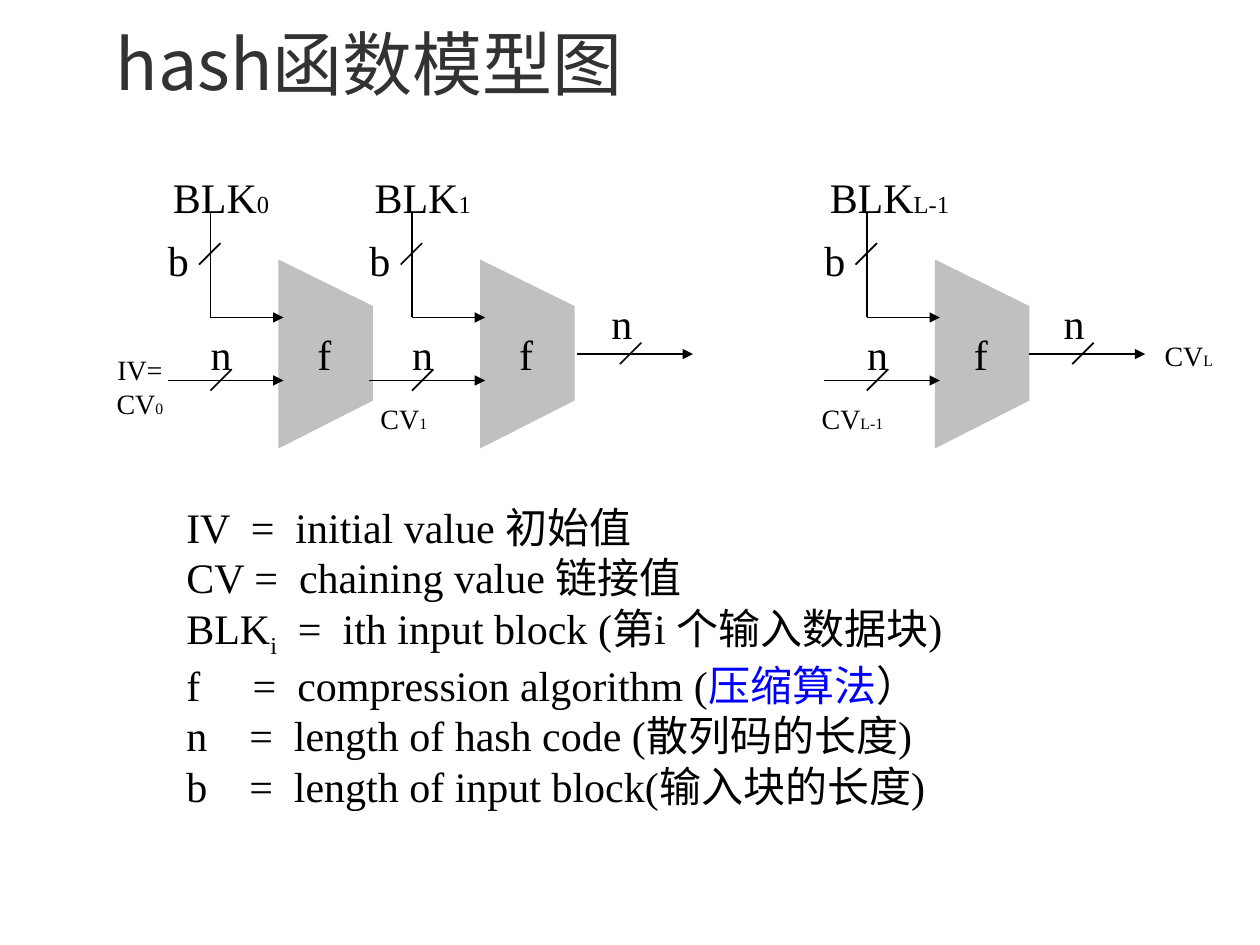
from dataclasses import dataclass

from lxml import etree
from pptx import Presentation
from pptx.dml.color import RGBColor
from pptx.enum.shapes import MSO_CONNECTOR
from pptx.enum.text import MSO_ANCHOR, PP_ALIGN
from pptx.oxml.ns import qn
from pptx.util import Inches, Pt

STRAIGHT = MSO_CONNECTOR.STRAIGHT
LEFT, CENTER, JUSTIFY = PP_ALIGN.LEFT, PP_ALIGN.CENTER, PP_ALIGN.JUSTIFY
TOP, BOTTOM = MSO_ANCHOR.TOP, MSO_ANCHOR.BOTTOM
COLORS = {"ink": "000000", "title": "323232", "function": "C0C0C0", "accent": "0000FF"}
SERIF, SANS = "Times New Roman", "Noto Sans CJK SC"


@dataclass(frozen=True)
class Span:
    text: str
    size: float | None = None
    color: str | None = None
    subscript: bool = False


@dataclass(frozen=True)
class Stage:
    """One compression step; left is the wide edge of its trapezoid."""
    left: float
    block: str
    block_width: float


@dataclass(frozen=True)
class ChainValue:
    left: float
    top: float
    width: float
    index: str


STAGES = [Stage(2.21, "0", 0.97), Stage(3.81, "1", 0.97), Stage(7.42, "L-1", 1.16)]
CHAIN_VALUES = [
    ChainValue(2.92, 3.14, 0.57, "1"),
    ChainValue(6.42, 3.14, 0.69, "L-1"),
    ChainValue(9.14, 2.64, 0.59, "L"),
]
OUTPUT_STARTS = [4.58, 8.17]
DEFINITIONS = [
    [Span("IV  =  initial value 初始值")],
    [Span("CV =  chaining value 链接值")],
    [Span("BLK"), Span("i", subscript=True), Span("  =  ith input block (第i 个输入数据块)")],
    [Span("f     =  compression algorithm ("), Span("压缩算法", color="accent"), Span("）")],
    [Span("n    =  length of hash code (散列码的长度)")],
    [Span("b    =  length of input block(输入块的长度)")],
]


def rgb(name: str) -> RGBColor:
    return RGBColor.from_string(COLORS[name])


def add_text(slide, paragraphs: list[list[Span]], left: float, top: float,
             width: float, height: float, *, size: float = 24, font: str = SERIF,
             color: str = "ink", align=CENTER, anchor=TOP, wrap: bool = False,
             inset: bool = True, line_spacing: float | None = None) -> None:
    box = slide.shapes.add_textbox(Inches(left), Inches(top), Inches(width), Inches(height))
    frame = box.text_frame
    frame.word_wrap = wrap
    frame.vertical_anchor = anchor
    if not inset:
        frame.margin_left = frame.margin_right = frame.margin_top = frame.margin_bottom = 0
    for index, spans in enumerate(paragraphs):
        paragraph = frame.add_paragraph() if index else frame.paragraphs[0]
        paragraph.alignment = align
        if line_spacing:
            paragraph.line_spacing = Pt(line_spacing)
        for span in spans:
            run = paragraph.add_run()
            run.text = span.text
            run.font.size = Pt(span.size or size)
            run.font.name = font
            run.font.color.rgb = rgb(span.color or color)
            properties = run._r.get_or_add_rPr()
            etree.SubElement(properties, qn("a:ea"), typeface=SANS)
            if span.subscript:
                properties.set("baseline", "-25000")


def add_line(slide, start: tuple[float, float], end: tuple[float, float],
             arrow: bool = False) -> None:
    line = slide.shapes.add_connector(STRAIGHT, *map(Inches, start + end))
    line.line.color.rgb = rgb("ink")
    line.line.width = Pt(1)
    if arrow:
        etree.SubElement(line.line._get_or_add_ln(), qn("a:tailEnd"), type="triangle")
    etree.SubElement(line._element.spPr, qn("a:effectLst"))


def add_slash(slide, left: float, bottom: float) -> None:
    """Draw the short stroke that marks a line's bit width."""
    add_line(slide, (left, bottom), (left + 0.17, bottom - 0.17))


def add_function(slide, left: float) -> None:
    right = left + 0.75
    builder = slide.shapes.build_freeform(Inches(left), Inches(3.56), scale=1.0)
    corners = [(right, 3.18), (right, 2.43), (left, 2.06)]
    builder.add_line_segments([(Inches(x), Inches(y)) for x, y in corners], close=True)
    trapezoid = builder.convert_to_shape()
    trapezoid.shadow.inherit = False
    trapezoid.fill.solid()
    trapezoid.fill.fore_color.rgb = rgb("function")
    trapezoid.line.fill.background()
    add_text(slide, [[Span("f")]], left + 0.21, 2.56, 0.31, 0.5)


def add_stage(slide, stage: Stage) -> None:
    x = stage.left
    block_x, arrow_end = x - 0.54, x + 0.04
    add_function(slide, x)
    add_line(slide, (block_x, 1.68), (block_x, 2.52))
    add_line(slide, (block_x, 2.52), (arrow_end, 2.52), arrow=True)
    add_slash(slide, block_x - 0.09, 2.1)
    add_text(slide, [[Span("b")]], x - 0.98, 1.81, 0.37, 0.5)
    add_text(slide, [[Span("BLK"), Span(stage.block, 14)]],
             x - 0.94, 1.31, stage.block_width, 0.5)
    add_line(slide, (x - 0.88, 3.02), (arrow_end, 3.02), arrow=True)
    add_slash(slide, block_x, 3.1)
    add_text(slide, [[Span("n")]], x - 0.64, 2.56, 0.37, 0.5)


def add_output(slide, left: float) -> None:
    add_line(slide, (left, 2.81), (left + 0.92, 2.81), arrow=True)
    add_slash(slide, left + 0.34, 2.89)
    add_text(slide, [[Span("n")]], left + 0.17, 2.31, 0.37, 0.5)


def main() -> None:
    presentation = Presentation()
    presentation.slide_width, presentation.slide_height = Inches(10), Inches(7.5)
    slide = presentation.slides.add_slide(presentation.slide_layouts[6])

    add_text(slide, [[Span("hash函数模型图")]], 0.92, 0.15, 8.52, 0.68, size=40, font=SANS,
             color="title", align=LEFT, anchor=BOTTOM, wrap=True, inset=False, line_spacing=26)
    for stage in STAGES:
        add_stage(slide, stage)
    for start in OUTPUT_STARTS:
        add_output(slide, start)
    add_text(slide, [[Span("IV=")], [Span("CV"), Span("0", 9)]],
             0.82, 2.75, 0.58, 0.64, size=16)
    for value in CHAIN_VALUES:
        add_text(slide, [[Span("CV"), Span(value.index, 9)]],
                 value.left, value.top, value.width, 0.37, size=16)
    add_text(slide, DEFINITIONS, 1.38, 3.93, 6.35, 2.52, align=JUSTIFY, wrap=True)

    presentation.save("out.pptx")


if __name__ == "__main__":
    main()
